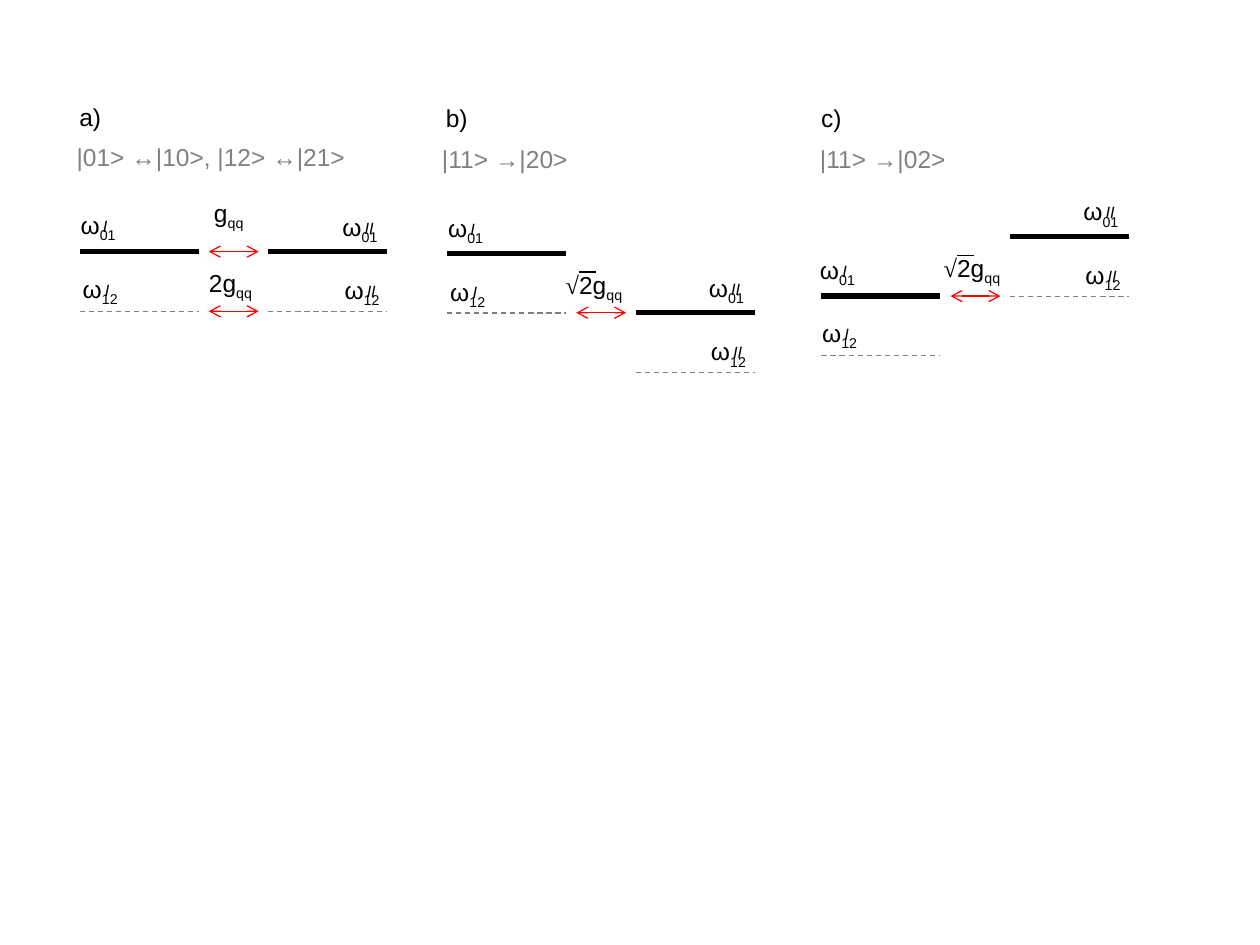
"""Draw the qubit level diagrams for three coupling regimes."""
from lxml import etree
from pptx import Presentation
from pptx import util as u
from pptx.dml.color import RGBColor
from pptx.enum import dml, shapes, text
from pptx.oxml.ns import qn


def color(value):
    """Turn a hex string into a colour."""
    return RGBColor.from_string(value)


class Diagram:
    """Hold the style and the current slide."""

    INK, GREY, RED = "000000", "808080", "FF0000"
    BODY = {"name": "Arial", "size": u.Pt(14)}
    MARK = {"name": "Arial", "size": u.Pt(16), "italic": True}
    ROOT = {"name": "Times New Roman", "size": u.Pt(14)}
    LEVEL, STEP, SPACING = 68, 34.1, 107.8
    BOX_HEIGHT = 24.5

    def __init__(self, deck):
        self.page = deck.slides.add_slide(deck.slide_layouts[6])

    def line(self, x, y, length, ink, weight=0.75, dashed=False, arrows=False):
        """Add a horizontal line."""
        line = self.page.shapes.add_connector(
            shapes.MSO_CONNECTOR.STRAIGHT, u.Pt(x), u.Pt(y), u.Pt(x + length), u.Pt(y))
        line.line.color.rgb = color(ink)
        line.line.width = u.Pt(weight)
        if dashed:
            line.line.dash_style = dml.MSO_LINE.DASH
        if arrows:
            outline = line.line._get_or_add_ln()
            for end in ("a:headEnd", "a:tailEnd"):
                etree.SubElement(outline, qn(end), type="arrow")
        etree.SubElement(line._element.spPr, qn("a:effectLst"))

    def label(self, x, y, width, parts, ink=INK, height=BOX_HEIGHT, parent=None):
        """Add text from (wording, format, baseline percent) parts."""
        owner = parent or self.page
        box = owner.shapes.add_textbox(u.Pt(x), u.Pt(y), u.Pt(width), u.Pt(height))
        box.text_frame.word_wrap = False
        box.text_frame.auto_size = text.MSO_AUTO_SIZE.SHAPE_TO_FIT_TEXT
        para = box.text_frame.paragraphs[0]
        for wording, style, baseline in parts:
            span = para.add_run()
            span.text = wording
            for name, value in style.items():
                setattr(span.font, name, value)
            span.font.color.rgb = color(ink)
            if baseline:
                span._r.get_or_add_rPr().set("baseline", str(baseline * 1000))

    def frequency(self, x, y, index, mark):
        """Add a grouped frequency symbol with its subscript and qubit mark."""
        group = self.page.shapes.add_group_shape()
        self.label(x, y, 36, [("ω", self.BODY, 0), (index, self.BODY, -25)], parent=group)
        self.label(x + 12.7, y + 1.6, 14 + 3.5 * len(mark), [(mark, self.MARK, 30)],
                   height=20.2, parent=group)

    def ladder(self, x, y, label_x, label_y, mark):
        """Add the two levels of one qubit with their frequencies."""
        self.line(x, y, self.LEVEL, self.INK, weight=3)
        self.line(x, y + self.STEP, self.LEVEL, self.GREY, dashed=True)
        self.frequency(label_x, label_y, "01", mark)
        self.frequency(label_x + 1.2, label_y + 36.2, "12", mark)

    def coupling(self, x, y, width, factor="", root=False):
        """Add a coupling strength, under a root sign if asked."""
        parts = [("√", self.ROOT, 0)] if root else []
        parts += [(factor + "g", self.BODY, 0), ("qq", self.BODY, -25)]
        self.label(x, y, width, parts)
        if root:
            self.line(x + 14.8, y + 5, 9.7, self.INK)

    def panel(self, x, title, states, ladders, arrows, couplings):
        """Add one panel with its headings, qubits and couplings."""
        self.label(*title[1:], 27, [(title[0], self.BODY, 0)])
        self.label(*states[1:], [(states[0], self.BODY, 0)], ink=self.GREY)
        for number, ladder in enumerate(ladders):
            self.ladder(x + number * self.SPACING, *ladder, "I" * (number + 1))
        for y in arrows:
            self.line(x + 73.8, y, 28.5, self.RED, arrows=True)
        for coupling in couplings:
            self.coupling(*coupling)


def main():
    """Build and save the slide."""
    deck = Presentation()
    deck.slide_width, deck.slide_height = u.Pt(720), u.Pt(540)
    diagram = Diagram(deck)
    diagram.panel(
        45.5, ("a)", 38.2, 54.7), ("|01> ↔|10>, |12> ↔|21>", 36.7, 77.8, 167.8),
        [(143.8, 39, 116.6), (143.8, 188.6, 117.5)], [143.8, 177.9],
        [(115.2, 109.4, 33), (112.3, 149.8, 41, "2")])
    diagram.panel(
        255.5, ("b)", 247.7, 55.4), ("|11> →|20>", 245.5, 78.5, 86.4),
        [(144.7, 249, 118.3), (178.7, 398, 152.5)], [178.7],
        [(316.1, 150.5, 48.2, "2", True)])
    diagram.panel(
        469.4, ("c)", 462.2, 55.4), ("|11> →|02>", 461.5, 78.5, 86.4),
        [(169.2, 461.5, 142), (135.2, 612, 108.7)], [169.2],
        [(532.1, 141.1, 48.2, "2", True)])
    deck.save("out.pptx")


if __name__ == "__main__":
    main()
